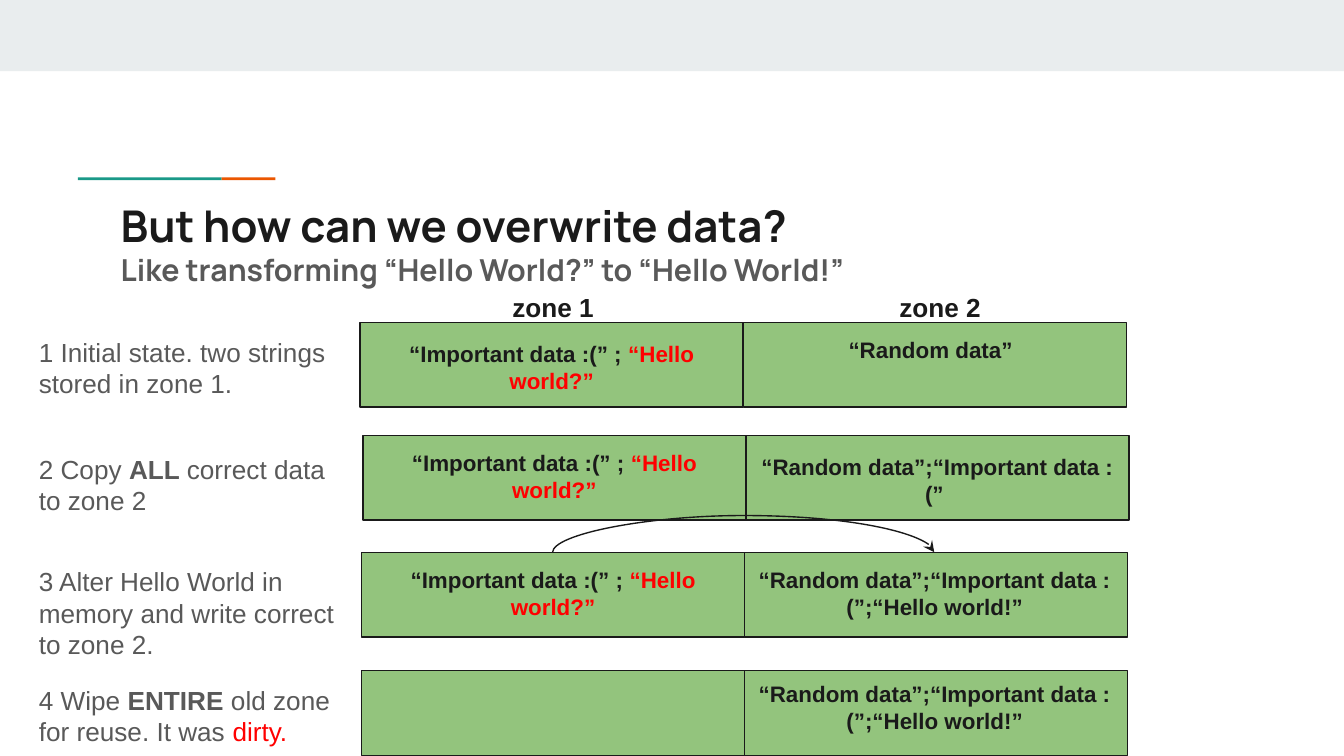
from lxml import etree
from pptx import Presentation
from pptx.dml.color import RGBColor
from pptx.enum.shapes import MSO_CONNECTOR, MSO_SHAPE
from pptx.enum.text import PP_ALIGN
from pptx.oxml.ns import qn
from pptx.util import Inches, Pt

RECTANGLE = MSO_SHAPE.RECTANGLE
CURVE = MSO_CONNECTOR.CURVE
LEFT, CENTER = PP_ALIGN.LEFT, PP_ALIGN.CENTER

INK = RGBColor(0x1A, 0x1A, 0x1A)
GRAY = RGBColor(0x59, 0x59, 0x59)
RED = RGBColor(0xFF, 0x00, 0x00)
GREEN = RGBColor(0x93, 0xC4, 0x7D)
TEAL = RGBColor(0x1A, 0x99, 0x88)
ORANGE = RGBColor(0xEB, 0x56, 0x00)
BAND = RGBColor(0xE9, 0xED, 0xEE)

# Grid: a notes column followed by two zone columns
NOTE_LEFT, NOTE_WIDTH = 0.19, 2.51
ZONE_LEFT, ZONE_WIDTH, ZONE_HEIGHT = 2.68, 2.85, 0.63

prs = Presentation()
prs.slide_width = Inches(10)
prs.slide_height = prs.slide_width * 9 // 16
slide = prs.slides.add_slide(prs.slide_layouts[6])


def add_block(left, top, width, height, fill, outline=None):
    block = slide.shapes.add_shape(
        RECTANGLE, Inches(left), Inches(top), Inches(width), Inches(height))
    block.shadow.inherit = False
    block.fill.solid()
    block.fill.fore_color.rgb = fill
    if outline is None:
        block.line.fill.background()
    else:
        block.line.color.rgb = outline
        block.line.width = Pt(0.75)


def add_text(left, top, width, height, paragraphs, align=LEFT, font="Arial"):
    """Each paragraph is a list of (text, size, color, bold) runs."""
    frame = slide.shapes.add_textbox(
        Inches(left), Inches(top), Inches(width), Inches(height)).text_frame
    frame.word_wrap = True
    frame.margin_left = frame.margin_right = Inches(0.1)
    frame.margin_top = frame.margin_bottom = Inches(0.1)
    for index, runs in enumerate(paragraphs):
        paragraph = frame.add_paragraph() if index else frame.paragraphs[0]
        paragraph.alignment = align
        for text, size, color, bold in runs:
            run = paragraph.add_run()
            run.text = text
            run.font.name = font
            run.font.size = Pt(size)
            run.font.color.rgb = color
            run.font.bold = bold


# Header band and two-color accent rule
add_block(0, 0, 10, 0.53, BAND)
add_block(0.58, 1.32, 1.07, 0.02, TEAL)
add_block(1.65, 1.32, 0.4, 0.02, ORANGE)

add_text(0.8, 1.38, 8.41, 0.59, [
    [("But how can we overwrite data?", 23.4, INK, True)],
    [("Like transforming “Hello World?” to “Hello World!”", 16.2, GRAY, True)],
], font="Manrope")

old_data = [("“Important data :(” ; ", 12, INK, True), ("“Hello world?”", 12, RED, True)]
new_data = "“Random data”;“Important data :(”;“Hello world!”"

# Per step: row top and shift, note top and height, note runs,
# zone 1 runs with top and height, zone 2 text with its left, top and width
steps = [
    (2.40, 0, 2.40, 0.67,
     [("1 Initial state. two strings stored in zone 1.", 14, GRAY, False)],
     old_data, 2.43, 0.81, "“Random data”", 5.53, 2.40, 2.79),
    (3.24, 0.02, 3.27, 0.67,
     [("2 Copy ", 14, GRAY, False), ("ALL ", 14, GRAY, True),
      ("correct data to zone 2", 14, GRAY, False)],
     old_data, 3.24, 1.01, "“Random data”;“Important data :(” ", 5.55, 3.27, ZONE_WIDTH),
    (4.11, 0.01, 4.11, 0.91,
     [("3 Alter Hello World in memory and write correct to zone 2.", 14, GRAY, False)],
     old_data, 4.11, 1.01, new_data, 5.53, 4.11, ZONE_WIDTH),
    (4.99, 0.01, 4.99, 0.67,
     [("4 Wipe ", 14, GRAY, False), ("ENTIRE", 14, GRAY, True),
      (" old zone for reuse. It was ", 14, GRAY, False), ("dirty.", 14, RED, False)],
     None, 0, 0, new_data, 5.53, 4.96, ZONE_WIDTH),
]

for (row_top, shift, note_top, note_height, note, zone1, zone1_top, zone1_height,
     zone2, zone2_left, zone2_top, zone2_width) in steps:
    row_left = ZONE_LEFT + shift
    for column in range(2):
        add_block(row_left + column * ZONE_WIDTH, row_top, ZONE_WIDTH, ZONE_HEIGHT, GREEN, INK)
    add_text(NOTE_LEFT, note_top, NOTE_WIDTH, note_height, [note])
    if zone1:
        add_text(row_left, zone1_top, ZONE_WIDTH, zone1_height, [zone1], CENTER)
    add_text(zone2_left, zone2_top, zone2_width, 0.61, [[(zone2, 12, INK, True)]], CENTER)

for heading, heading_left in (("zone 1", 2.71), ("zone 2", 5.59)):
    add_text(heading_left, 2.07, 2.81, 0.44, [[(heading, 14, INK, True)]], CENTER)

# Arc from zone 1 to zone 2 of step 3: a thin connector turned upright,
# whose bend reaches 100 times its own width
bend_width = Inches(0.26) // 100
arc = slide.shapes.add_connector(
    CURVE, Inches(5.53), Inches(2.69), Inches(5.53) + bend_width, Inches(5.53))
arc.line.color.rgb = INK
arc.line.width = Pt(0.75)
properties = arc._element.spPr
properties.find(qn("a:xfrm")).set("rot", str(270 * 60000))
geometry = properties.find(qn("a:prstGeom"))
adjustments = geometry.find(qn("a:avLst"))
if adjustments is None:
    adjustments = etree.SubElement(geometry, qn("a:avLst"))
etree.SubElement(adjustments, qn("a:gd"), name="adj1", fmla="val 10000000")
etree.SubElement(properties.find(qn("a:ln")), qn("a:tailEnd"), type="stealth")
etree.SubElement(properties, qn("a:effectLst"))

prs.save("out.pptx")
